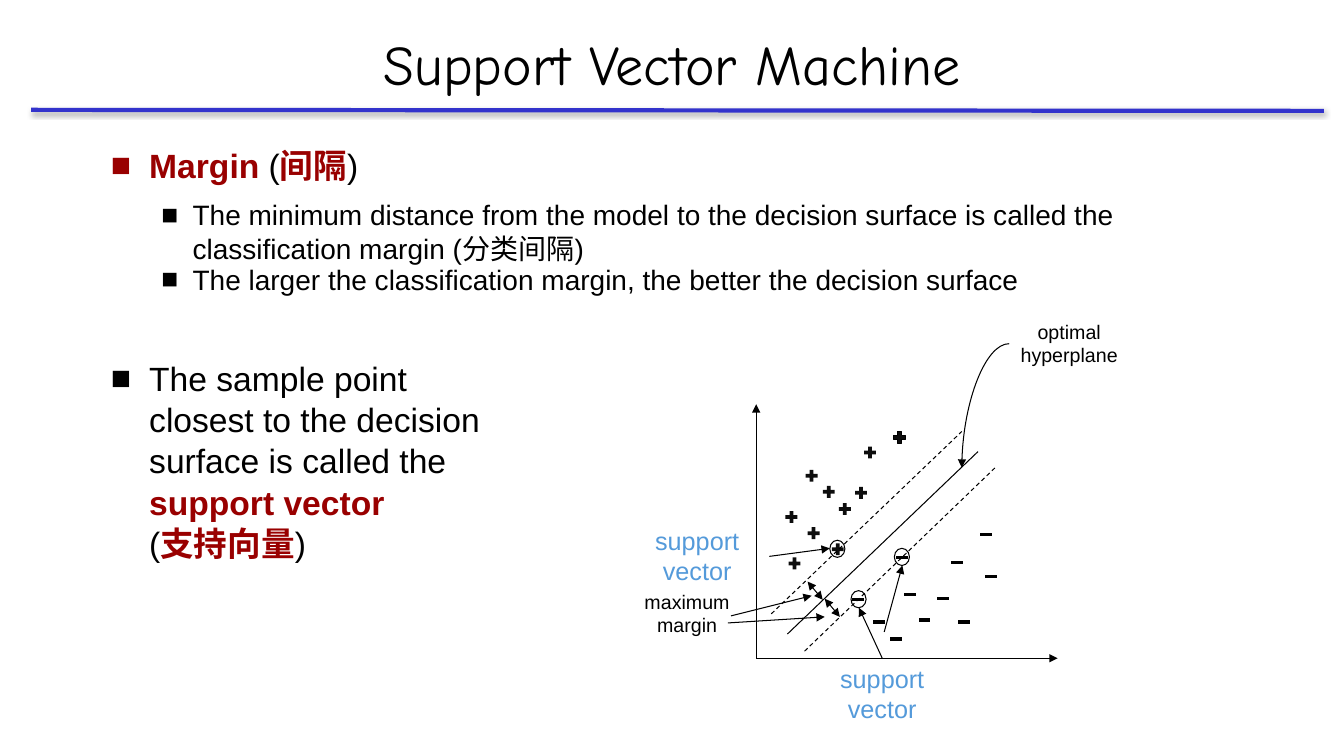
from lxml.etree import SubElement
from pptx import Presentation
from pptx.dml.color import RGBColor
from pptx.enum.dml import MSO_LINE
from pptx.enum.shapes import MSO_CONNECTOR, MSO_SHAPE
from pptx.enum.text import MSO_ANCHOR, MSO_AUTO_SIZE, PP_ALIGN
from pptx.oxml.ns import qn
from pptx.util import Inches, Pt

COLORS = {"black": "000000", "plus": "0D0D0D", "red": "990000",
          "rule": "3333CC", "label": "549ADA"}

# Diagram positions are inches from the top left corner of its box.
PLUSES = [(1.97, 1.64), (2.14, 1.8), (2.3, 1.97), (1.77, 2.05), (2.55, 1.41),
          (1.99, 2.21), (1.8, 2.51), (2.84, 1.26), (2.46, 1.81), (2.23, 2.37)]
MINUSES = [(2.43, 2.88), (2.87, 2.46), (2.64, 3.1), (2.81, 3.27), (3.09, 3.08),
           (3.27, 2.87), (2.95, 2.83), (3.41, 2.51), (3.48, 3.1), (3.7, 2.23),
           (3.75, 2.65)]
SUPPORT_VECTORS = [(2.23, 2.36), (2.44, 2.86), (2.87, 2.44)]
AXES = [(1.5, 3.53, 1.5, 1.01), (1.5, 3.53, 4.49, 3.53)]
HYPERPLANE = (1.81, 3.29, 3.7, 1.48)
MARGIN_EDGES = [(1.98, 3.46, 3.87, 1.64), (1.65, 3.09, 3.54, 1.28)]
MARGIN_WIDTHS = [(2.01, 2.77, 2.16, 2.95), (2.18, 2.94, 2.33, 3.12)]
POINTERS = [(1.63, 2.52, 2.23, 2.44), (2.75, 3.53, 2.52, 3.03),
            (2.77, 3.27, 2.95, 2.61), (1.25, 3.11, 2.05, 2.91),
            (1.22, 3.18, 2.18, 3.12)]
HYPERPLANE_POINTER = (4.01, 0.41, 3.54, 1.64)
LABELS = [("support vector", 0.2, 2.16, 1.43, 0.71, 18, "label"),
          ("support vector", 2.15, 3.53, 1.2, 0.71, 18, "label"),
          ("optimal hyperplane", 4.01, 0.12, 1.19, 0.57, 14, "black"),
          ("maximum margin", 0.15, 2.8, 1.33, 0.57, 14, "black")]


def rgb(name):
    return RGBColor.from_string(COLORS[name])


def add_run(p, text, size, color="black", bold=False, font="Arial"):
    r = p.add_run()
    r.text = text
    r.font.size = Pt(size)
    r.font.name = font
    r.font.bold = bold
    r.font.color.rgb = rgb(color)


def place(sp, box):
    sp.left, sp.top, sp.width, sp.height = map(Inches, box)


def add_line(s, box, ends, color="black", width=0.75, head=False, tail=False,
             dashed=False, kind=MSO_CONNECTOR.STRAIGHT):
    """Draw a connector between ends, given relative to the box."""
    x, y = box[:2]
    x1, y1, x2, y2 = ends
    c = s.shapes.add_connector(kind, Inches(x + x1), Inches(y + y1),
                               Inches(x + x2), Inches(y + y2))
    c.line.color.rgb = rgb(color)
    c.line.width = Pt(width)
    if dashed:
        c.line.dash_style = MSO_LINE.DASH
    ln = c.line._get_or_add_ln()
    for wanted, tag in ((head, "a:headEnd"), (tail, "a:tailEnd")):
        if wanted:
            SubElement(ln, qn(tag), type="triangle")
    SubElement(c.element.spPr, qn("a:effectLst"))
    return c


def add_mark(s, box, shape, at, size, fill=None, line_width=None):
    sp = s.shapes.add_shape(shape, Inches(box[0] + at[0]), Inches(box[1] + at[1]),
                            Inches(size[0]), Inches(size[1]))
    sp.shadow.inherit = False
    if fill:
        sp.fill.solid()
        sp.fill.fore_color.rgb = rgb(fill)
    else:
        sp.fill.background()
    if line_width:
        sp.line.color.rgb = rgb("black")
        sp.line.width = Pt(line_width)
    else:
        sp.line.fill.background()


def add_title(s, box):
    sp = s.shapes.title
    place(sp, box)
    tf = sp.text_frame
    tf.auto_size = MSO_AUTO_SIZE.NONE
    tf.vertical_anchor = MSO_ANCHOR.MIDDLE
    p = tf.paragraphs[0]
    p.alignment = PP_ALIGN.CENTER
    add_run(p, "Support Vector Machine", 40, font="Comic Neue")


def add_title_rule(s, box):
    c = add_line(s, box, (0, 0, box[2], box[3]), color="rule", width=3)
    effects = c.element.spPr.find(qn("a:effectLst"))
    shadow = SubElement(effects, qn("a:outerShdw"), blurRad=str(Pt(3.1)),
                        dist=str(Pt(1.8)), dir="5400000", rotWithShape="0")
    color = SubElement(shadow, qn("a:srgbClr"), val=COLORS["black"])
    SubElement(color, qn("a:alpha"), val="35000")


def add_body(s, box):
    sp = s.placeholders[1]
    place(sp, box)
    tf = sp.text_frame
    tf.auto_size = MSO_AUTO_SIZE.NONE
    tf.vertical_anchor = MSO_ANCHOR.TOP

    def add_item(runs, level=0, bullet=True, line=None, before=None):
        p = tf.paragraphs[0] if not tf.text else tf.add_paragraph()
        size, margin, hang = ((24, 0.38, 0.38), (20, 0.81, 0.31))[level]
        p.level = level
        pPr = p._p.get_or_add_pPr()
        pPr.set("marL", str(Inches(margin)))
        pPr.set("indent", str(-Inches(hang) if bullet else 0))
        if bullet:
            SubElement(pPr, qn("a:buFont"), typeface="Arial")
            SubElement(pPr, qn("a:buChar"), char="■")
        else:
            SubElement(pPr, qn("a:buNone"))
        p.space_before = Pt(size * 0.2 if before is None else before)
        p.space_after = Pt(size * 0.2)
        p.line_spacing = Pt(line) if line else 1.0
        for text, emphasis in runs:
            add_run(p, text, size, "red" if emphasis else "black", emphasis)

    add_item([("Margin ", True), ("(", False), ("间隔", True), (")", False)], before=0)
    add_item([("The minimum distance from the model to the decision surface is "
               "called the classification margin (分类间隔)", False)], level=1)
    add_item([("The larger the classification margin, the better the decision "
               "surface", False)], level=1, line=14)
    add_item([("The sample point", False)], line=20, before=48.8)
    for runs in ([("closest to the decision", False)],
                 [("surface is called the", False)],
                 [("support vector", True)],
                 [("(", False), ("支持向量", True), (")", False)]):
        add_item(runs, bullet=False, line=20)


def add_labels(s, box):
    for text, x, y, w, h, size, color in LABELS:
        sp = s.shapes.add_textbox(Inches(box[0] + x), Inches(box[1] + y),
                                  Inches(w), Inches(h))
        tf = sp.text_frame
        tf.word_wrap = True
        tf.auto_size = MSO_AUTO_SIZE.SHAPE_TO_FIT_TEXT
        p = tf.paragraphs[0]
        p.alignment = PP_ALIGN.CENTER
        add_run(p, text, size, color)


def add_diagram(s, box):
    for ends in AXES:
        add_line(s, box, ends, tail=True)
    add_line(s, box, HYPERPLANE)
    for at in PLUSES:
        outline = 0.25 if at == (2.84, 1.26) else None
        add_mark(s, box, MSO_SHAPE.MATH_PLUS, at, (0.16, 0.16), "plus", outline)
    for at in MINUSES:
        add_mark(s, box, MSO_SHAPE.MATH_MINUS, at, (0.16, 0.14), "black")
    for ends in MARGIN_EDGES:
        add_line(s, box, ends, dashed=True)
    for at in SUPPORT_VECTORS:
        add_mark(s, box, MSO_SHAPE.FLOWCHART_CONNECTOR, at, (0.15, 0.17),
                 line_width=0.75)
    add_labels(s, box)
    for ends in POINTERS:
        add_line(s, box, ends, tail=True)
    for ends in MARGIN_WIDTHS:
        add_line(s, box, ends, head=True, tail=True)
    curve = add_line(s, box, HYPERPLANE_POINTER, tail=True, kind=MSO_CONNECTOR.CURVE)
    curve.element.spPr.find(qn("a:prstGeom")).set("prst", "curvedConnector2")


def main():
    prs = Presentation()
    prs.slide_width, prs.slide_height = Inches(13.33), Inches(7.5)
    s = prs.slides.add_slide(prs.slide_layouts[1])
    add_title_rule(s, (0.31, 1.09, 12.82, 0.01))
    add_title(s, (0, 0.21, 13.33, 0.83))
    add_body(s, (1, 1.39, 11.42, 5.75))
    add_diagram(s, (6, 3, 5.2, 4.24))
    prs.save("out.pptx")


if __name__ == "__main__":
    main()
